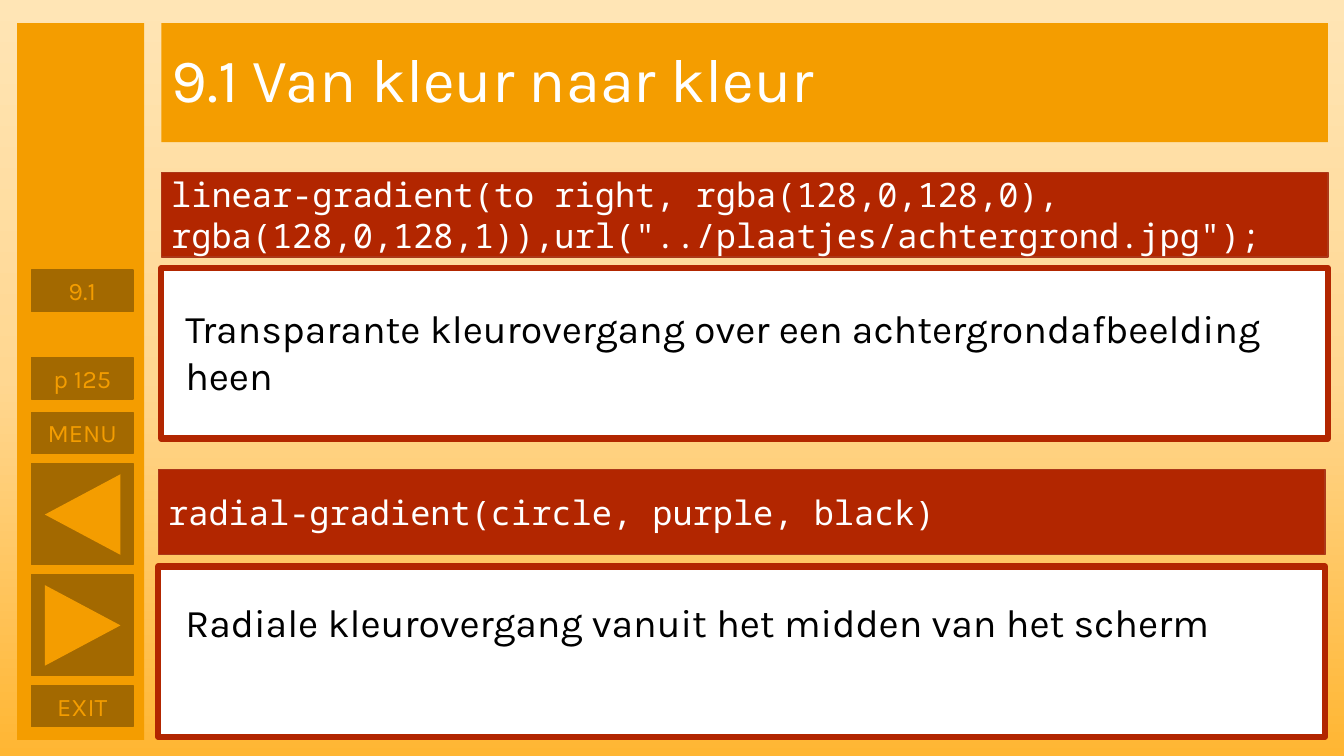
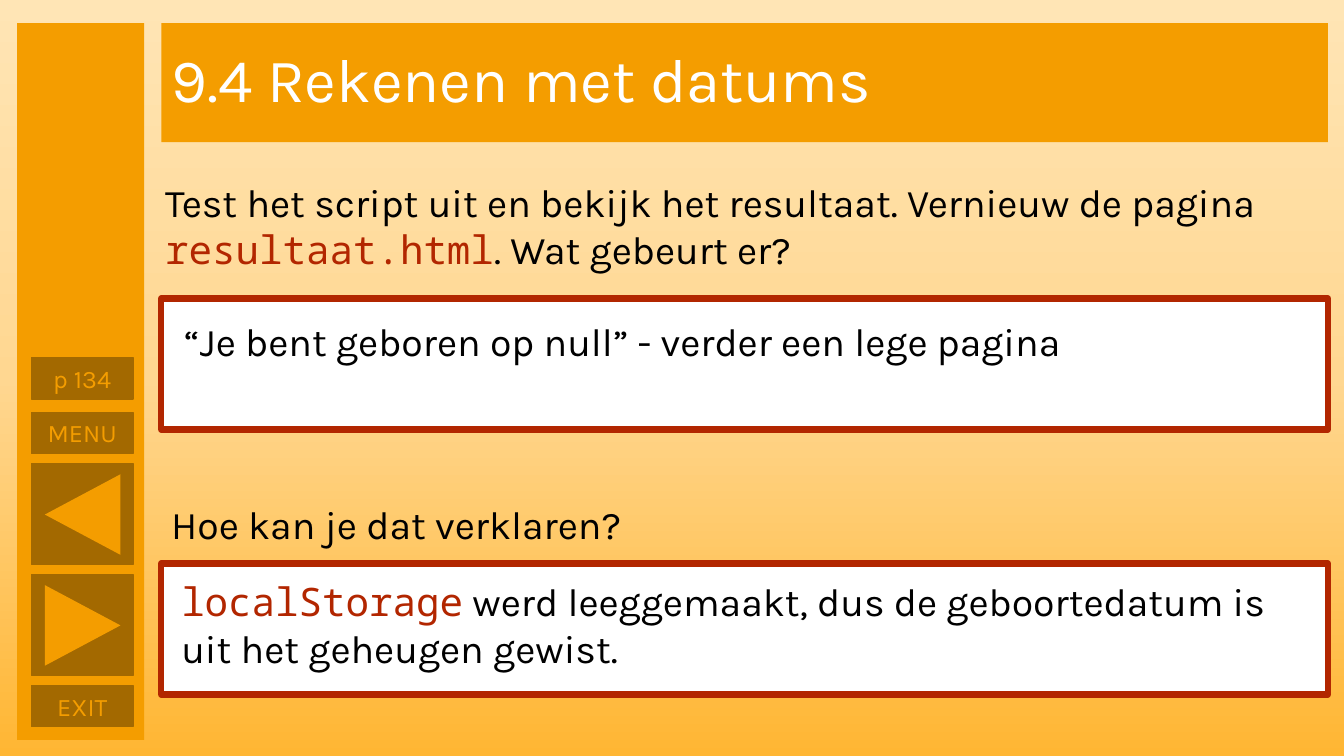
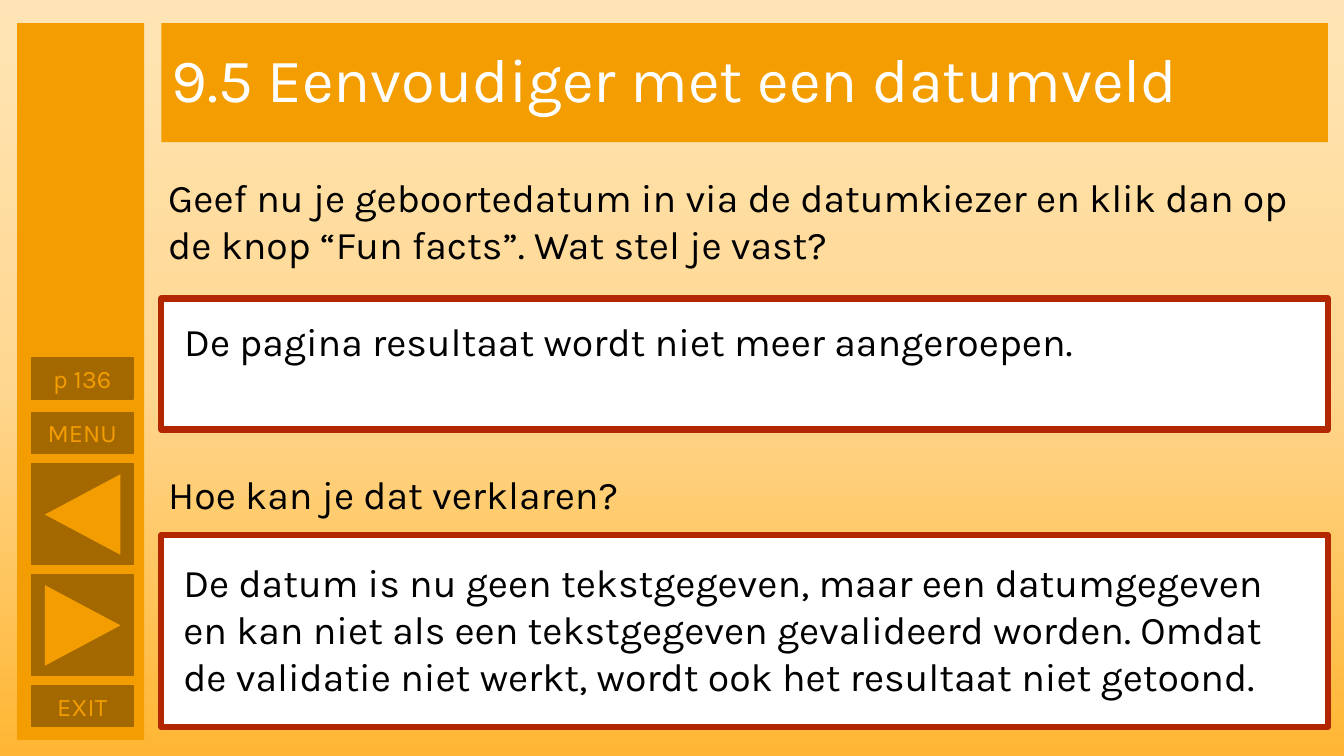
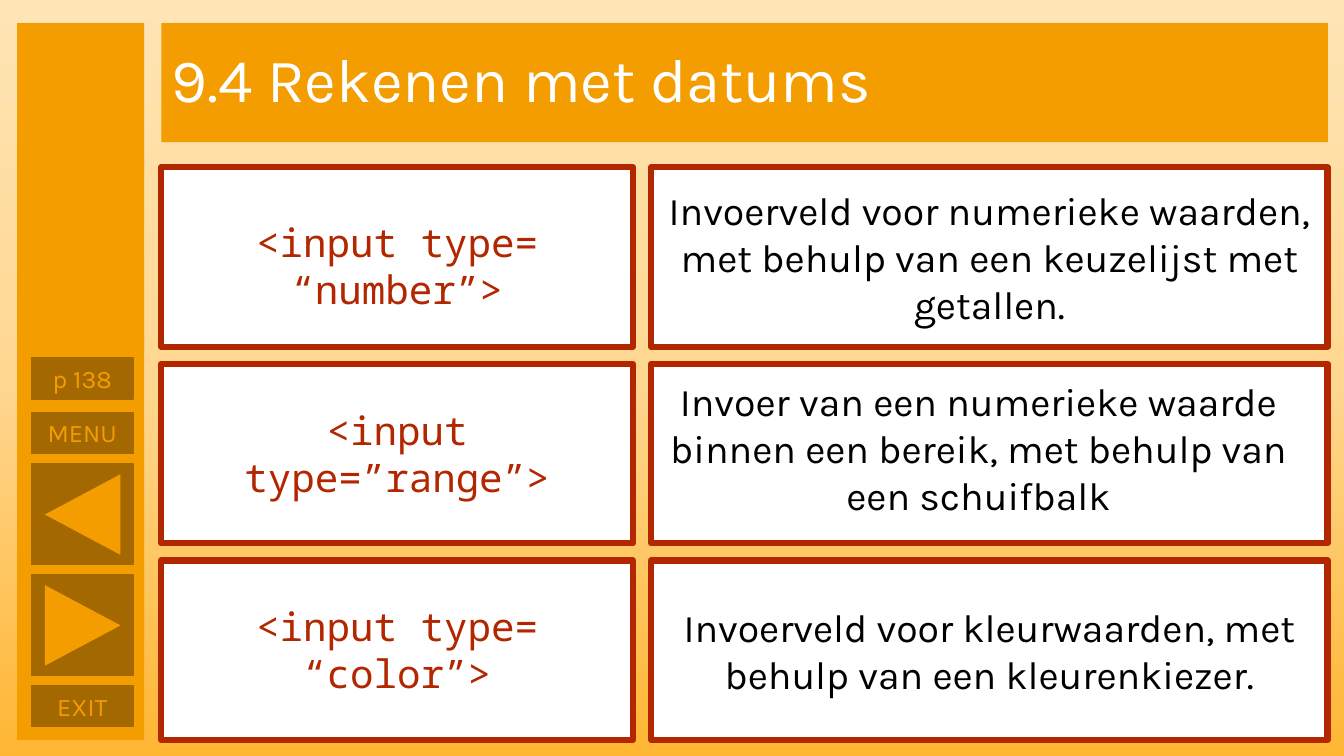
"""Build four course slides on colour gradients, dates and input types."""
from copy import deepcopy

from pptx import Presentation
from pptx.dml.color import RGBColor
from pptx.enum.shapes import MSO_SHAPE
from pptx.enum.text import MSO_ANCHOR, MSO_AUTO_SIZE, PP_ALIGN
from pptx.util import Inches, Pt

ORANGE = RGBColor(0xF4, 0x9D, 0x00)
BROWN = RGBColor(0xA3, 0x69, 0x00)
RED = RGBColor(0xB2, 0x26, 0x00)
RUST = RGBColor(0xAC, 0x38, 0x19)
WHITE = RGBColor(0xFF, 0xFF, 0xFF)
BLACK = RGBColor(0x00, 0x00, 0x00)
BACKGROUND = [(0, RGBColor(0xFF, 0xE5, 0xB5)),
              (0.5, RGBColor(0xFF, 0xD7, 0x91)),
              (1, RGBColor(0xFF, 0xB6, 0x33))]
SANS, MONO = "Karla", "Noto Sans Mono"

prs = Presentation()
prs.slide_width, prs.slide_height = Inches(13.33), Inches(7.5)
COL, ROW = prs.slide_width / 100, prs.slide_height / 100

LEFT, WIDE, TOP = 12, 86.8, 3.07
BTN_X, BTN_W, BTN_H, ARROW_H = 2.33, 7.58, 5.47, 13.33
ONE_LINE, TWO_LINES, THREE_LINES = 7.6, 13.87, 20.13


def add_box(s, kind, x, y, w, h, fill=None, line=None, weight=1):
    """Place a shape, or a text box without a kind, in percent of the slide."""
    area = [int(v) for v in (x * COL, y * ROW, w * COL, h * ROW)]
    if kind is None:
        return s.shapes.add_textbox(*area)
    sp = s.shapes.add_shape(kind, *area)
    sp.shadow.inherit = False
    sp.fill.solid()
    sp.fill.fore_color.rgb = fill
    if line is None:
        sp.line.fill.background()
    else:
        sp.line.color.rgb = line
        sp.line.width = Pt(weight)
    return sp


def write(sp, text, size, color, align=PP_ALIGN.LEFT, font=SANS):
    """Write one paragraph; parts between backticks are red code."""
    tf = sp.text_frame
    tf.word_wrap = True
    p = tf.paragraphs[0]
    p.alignment = align
    p.font.size = Pt(size)
    parts = [(i % 2, t) for i, t in enumerate(text.split("`")) if t]
    for is_code, part in parts:
        r = p.add_run()
        r.text = part
        f = p.font if len(parts) == 1 else r.font
        f.size = Pt(size)
        f.name = MONO if is_code else font
        f.color.rgb = RED if is_code else color
    return p


fill = prs.slide_master.background.fill
fill.gradient()
fill.gradient_angle = 270
stops = fill.gradient_stops
first = stops[0]._gs
first.addnext(deepcopy(first))
for stop, (position, color) in zip(fill.gradient_stops, BACKGROUND):
    stop.position = position
    stop.color.rgb = color

table = [
    ("", "Invoerveld voor numerieke waarden, met behulp van een keuzelijst met getallen."),
    ("`<input type=”range”>`", ""),
    ("", "Invoerveld voor kleurwaarden, met behulp van een kleurenkiezer."),
]
cells = [("card", x, 22.13 + 26 * i, w, 23.73, text)
         for i, texts in enumerate(table)
         for (x, w), text in zip([(LEFT, 35.1), (48.45, 50.33)], texts)]

slides = [
    ("9.1 Van kleur naar kleur", "p 125", "9.1", [
        ("code", LEFT, 22.8, WIDE, 11.2,
         'linear-gradient(to right, rgba(128,0,128,0), '
         'rgba(128,0,128,1)),url("../plaatjes/achtergrond.jpg");'),
        ("card", LEFT, 35.47, WIDE, 22.53, ""),
        ("code", 11.78, 62.13, WIDE, 11.2, "radial-gradient(circle, purple, black)"),
        ("card", 11.78, 74.93, WIDE, 22.53, ""),
        ("text", 13.05, 39.6, 85.5, TWO_LINES,
         "Transparante kleurovergang over een achtergrondafbeelding heen"),
        ("text", 13.05, 78.53, 85.5, ONE_LINE,
         "Radiale kleurovergang vanuit het midden van het scherm"),
    ]),
    ("9.4 Rekenen met datums", "p 134", None, [
        ("card", LEFT, 39.47, WIDE, 17.33, ""),
        ("text", 11.55, 22.93, 87.22, TWO_LINES,
         "Test het script uit en bekijk het resultaat. Vernieuw de pagina "
         "`resultaat.html`. Wat gebeurt er?"),
        ("card", LEFT, 74.53, WIDE, 17.33, ""),
        ("text", LEFT, 65.47, 87.22, ONE_LINE, "Hoe kan je dat verklaren?"),
        ("text", 12.97, 41.33, 84.82, ONE_LINE,
         "“Je bent geboren op null” - verder een lege pagina"),
        ("text", 12.75, 75.73, 84.82, TWO_LINES,
         "`localStorage` werd leeggemaakt, dus de geboortedatum is "
         "uit het geheugen gewist."),
    ]),
    ("9.5 Eenvoudiger met een datumveld", "p 136", None, [
        ("text", 11.78, 22.27, 87, TWO_LINES,
         "Geef nu je geboortedatum in via de datumkiezer en klik dan op "
         "de knop “Fun facts”. Wat stel je vast?"),
        ("card", LEFT, 39.47, WIDE, 17.33, ""),
        ("text", 12.97, 41.33, 84.82, ONE_LINE,
         "De pagina resultaat wordt niet meer aangeroepen."),
        ("text", 11.78, 61.6, 87, ONE_LINE, "Hoe kan je dat verklaren?"),
        ("card", LEFT, 70.8, WIDE, 25.33, ""),
        ("text", 12.9, 73.2, 84.82, THREE_LINES,
         "De datum is nu geen tekstgegeven, maar een datumgegeven en kan niet als "
         "een tekstgegeven gevalideerd worden. Omdat de validatie niet werkt, "
         "wordt ook het resultaat niet getoond."),
    ]),
    ("9.4 Rekenen met datums", "p 138", None, cells + [
        ("centred", LEFT, 28.27, 35.1, TWO_LINES, "`<input type= “number”>`"),
        ("centred", 47.63, 49.2, 50.33, THREE_LINES,
         "Invoer van een numerieke waarde binnen een bereik, "
         "met behulp van een schuifbalk"),
        ("centred", LEFT, 79.07, 35.1, TWO_LINES, "`<input type= “color”>`"),
    ]),
]

for title, page, section, items in slides:
    s = prs.slides.add_slide(prs.slide_layouts[5])
    sp = s.shapes.title
    sp.left, sp.top = int(LEFT * COL), int(TOP * ROW)
    sp.width, sp.height = int(WIDE * COL), int(15.73 * ROW)
    sp.fill.solid()
    sp.fill.fore_color.rgb = ORANGE
    sp.text_frame.auto_size = MSO_AUTO_SIZE.NONE
    sp.text_frame.vertical_anchor = MSO_ANCHOR.MIDDLE
    p = write(sp, title, 44, WHITE)
    p.line_spacing = 0.9

    add_box(s, MSO_SHAPE.RECTANGLE, 1.28, TOP, 9.45, 94.8, ORANGE)
    for label, y in [("EXIT", 90.67), ("MENU", 54.53), (page, 47.33), (section, 35.73)]:
        if label:
            sp = add_box(s, MSO_SHAPE.RECTANGLE, BTN_X, y, BTN_W, BTN_H, BROWN, BROWN)
            write(sp, label, 18, ORANGE, PP_ALIGN.CENTER)
    for y, angle in [(76, 90), (61.33, 270)]:
        add_box(s, MSO_SHAPE.RECTANGLE, BTN_X, y, BTN_W, ARROW_H, BROWN, BROWN)
        sp = add_box(s, MSO_SHAPE.ISOSCELES_TRIANGLE, 3.15, y + 1.73, 6, 10, ORANGE)
        sp.rotation = angle

    for style, x, y, w, h, text in items:
        if style == "code":
            sp = add_box(s, MSO_SHAPE.RECTANGLE, x, y, w, h, RED, RUST)
            write(sp, text, 24, WHITE, font=MONO)
        elif style == "card":
            sp = add_box(s, MSO_SHAPE.RECTANGLE, x, y, w, h, WHITE, RED, 4.5)
            if text:
                write(sp, text, 28, BLACK, PP_ALIGN.CENTER)
        else:
            sp = add_box(s, None, x, y, w, h)
            write(sp, text, 28, BLACK,
                  PP_ALIGN.CENTER if style == "centred" else PP_ALIGN.LEFT)
            sp.text_frame.auto_size = MSO_AUTO_SIZE.SHAPE_TO_FIT_TEXT

prs.save("out.pptx")
